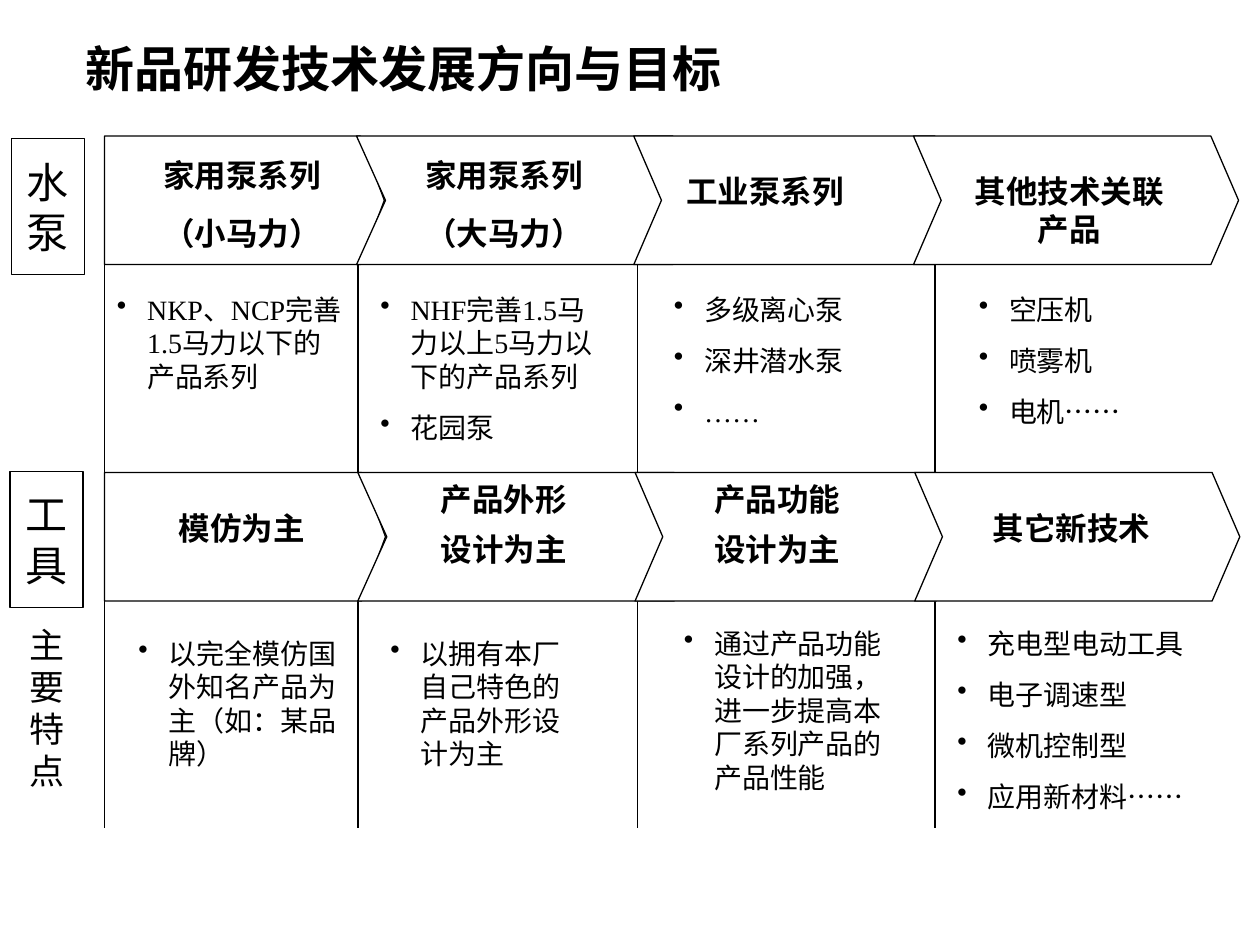
from dataclasses import dataclass

from lxml.etree import SubElement
from pptx import Presentation
from pptx.dml.color import RGBColor
from pptx.enum.lang import MSO_LANGUAGE_ID
from pptx.enum.shapes import MSO_CONNECTOR, MSO_SHAPE
from pptx.enum.text import MSO_ANCHOR, PP_ALIGN
from pptx.oxml.ns import qn
from pptx.util import Inches, Pt


@dataclass(frozen=True)
class Theme:
    ink: RGBColor = RGBColor(0, 0, 0)
    paper: RGBColor = RGBColor(255, 255, 255)
    font: str = "Times New Roman"
    title: int = 28
    label: int = 24
    feature: int = 20
    heading: int = 18
    body: int = 16
    outline: float = 0.75
    divider: float = 1


theme = Theme()
presentation = Presentation()
presentation.slide_width = Inches(10)
presentation.slide_height = Inches(7.5)
slide = presentation.slides.add_slide(presentation.slide_layouts[6])


def write_text(shape, lines, size, bold=False, align=PP_ALIGN.LEFT, anchor=MSO_ANCHOR.TOP,
               wrap=True, gap=0, spacing=None, bullet=False):
    frame = shape.text_frame
    frame.word_wrap = wrap
    frame.vertical_anchor = anchor
    for index, line in enumerate(lines):
        paragraph = frame.add_paragraph() if index else frame.paragraphs[0]
        paragraph.alignment = align
        if index:
            paragraph.space_before = Pt(gap)
        if spacing:
            paragraph.line_spacing = spacing
        if bullet:
            properties = paragraph._p.get_or_add_pPr()
            properties.set("marL", str(Inches(0.24)))
            properties.set("indent", str(-Inches(0.24)))
            SubElement(properties, qn("a:buChar")).set("char", "•")
        run = paragraph.add_run()
        run.text = line
        run.font.name = theme.font
        run.font.size = Pt(size)
        run.font.bold = bold
        run.font.color.rgb = theme.ink
        run.font.language_id = MSO_LANGUAGE_ID.SIMPLIFIED_CHINESE


def style_outline(shape):
    shape.shadow.inherit = False
    shape.fill.solid()
    shape.fill.fore_color.rgb = theme.paper
    shape.line.color.rgb = theme.ink
    shape.line.width = Pt(theme.outline)


# Title
title = slide.shapes.add_textbox(Inches(0.58), Inches(0.25), Inches(8.5), Inches(0.58))
write_text(title, ["新品研发技术发展方向与目标"], theme.title, bold=True, anchor=MSO_ANCHOR.MIDDLE)

# Column dividers, behind the arrows
for x in (0.83, 2.84, 5.06, 7.42):
    divider = slide.shapes.add_connector(
        MSO_CONNECTOR.STRAIGHT, Inches(x), Inches(1.32), Inches(x), Inches(6.57))
    divider.line.color.rgb = theme.ink
    divider.line.width = Pt(theme.divider)
    SubElement(divider._element.spPr, qn("a:effectLst"))

# Row labels
for characters, left, top in (("水泵", 0.09, 1.1), ("工具", 0.08, 3.74)):
    label = slide.shapes.add_shape(
        MSO_SHAPE.RECTANGLE, Inches(left), Inches(top), Inches(0.58), Inches(1.08))
    style_outline(label)
    write_text(label, characters, theme.label, align=PP_ALIGN.CENTER,
               anchor=MSO_ANCHOR.MIDDLE, wrap=False)

# Arrow bands: left edge, shoulder, tip and notch depth of each arrow
arrows = [(0.83, 2.86, 3.05, 0), (2.83, 5.34, 5.57, 0.23),
          (5.03, 7.42, 7.64, 0.22), (7.25, 9.61, 9.83, 0.22)]
arrow_height = 1.02
for top, shift in ((1.08, 0), (3.75, 0.01)):
    middle, bottom = top + arrow_height / 2, top + arrow_height
    for left, shoulder, tip, notch in arrows:
        start = left + shift if notch else left
        outline = [(shoulder + shift, top), (tip + shift, middle),
                   (shoulder + shift, bottom), (start, bottom), (start + notch, middle)]
        builder = slide.shapes.build_freeform(Inches(start), Inches(top))
        builder.add_line_segments([(Inches(x), Inches(y)) for x, y in outline], close=True)
        style_outline(builder.convert_to_shape())

# Arrow headings: lines, left, top, width, height, line spacing
headings = [
    (["家用泵系列", "（小马力）"], 1.17, 1.19, 1.5, 0.86, None),
    (["家用泵系列", "（大马力）"], 3.25, 1.19, 1.5, 0.86, None),
    (["工业泵系列"], 5.32, 1.32, 1.5, 0.4, None),
    (["其他技术关联产品"], 7.61, 1.32, 1.75, 0.7, None),
    (["模仿为主"], 1.17, 3.99, 1.5, 0.4, None),
    (["产品外形", "设计为主"], 3.25, 3.82, 1.5, 0.74, 0.8),
    (["产品功能", "设计为主"], 5.42, 3.82, 1.5, 0.74, 0.8),
    (["其它新技术"], 7.63, 3.99, 1.75, 0.4, None),
]
for lines, left, top, width, height, spacing in headings:
    heading = slide.shapes.add_textbox(Inches(left), Inches(top), Inches(width), Inches(height))
    write_text(heading, lines, theme.heading, bold=True, align=PP_ALIGN.CENTER,
               gap=11.2, spacing=spacing)

# Bulleted details: lines, left, top, width, height
details = [
    (["NKP、NCP完善1.5马力以下的产品系列"], 0.83, 2.27, 2, 0.9),
    (["NHF完善1.5马力以上5马力以下的产品系列", "花园泵"], 2.92, 2.27, 2, 1.31),
    (["多级离心泵", "深井潜水泵", "……"], 5.25, 2.27, 2, 1.18),
    (["空压机", "喷雾机", "电机……"], 7.67, 2.27, 2, 1.18),
    (["以完全模仿国外知名产品为主（如：某品牌）"], 1, 5, 1.83, 1.17),
    (["以拥有本厂自己特色的产品外形设计为主"], 3, 5, 1.75, 0.9),
    (["通过产品功能设计的加强，进一步提高本厂系列产品的产品性能"], 5.33, 4.92, 1.92, 1.17),
    (["充电型电动工具", "电子调速型", "微机控制型", "应用新材料……"], 7.5, 4.92, 2.25, 1.59),
]
for lines, left, top, width, height in details:
    detail = slide.shapes.add_textbox(Inches(left), Inches(top), Inches(width), Inches(height))
    write_text(detail, lines, theme.body, gap=10, bullet=True)

# Main features label
feature = slide.shapes.add_textbox(Inches(0), Inches(4.9), Inches(0.75), Inches(1.44))
write_text(feature, ["主要特点"], theme.feature, align=PP_ALIGN.CENTER)

presentation.save("out.pptx")
